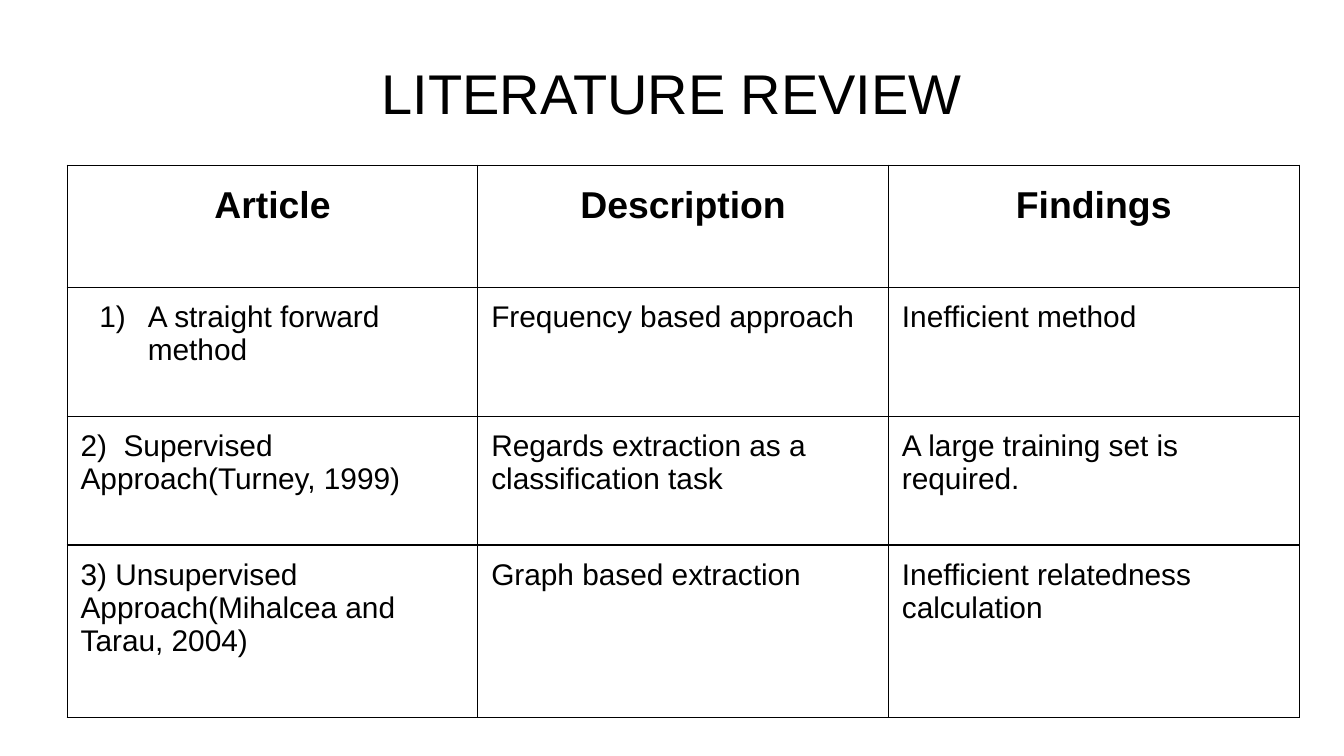
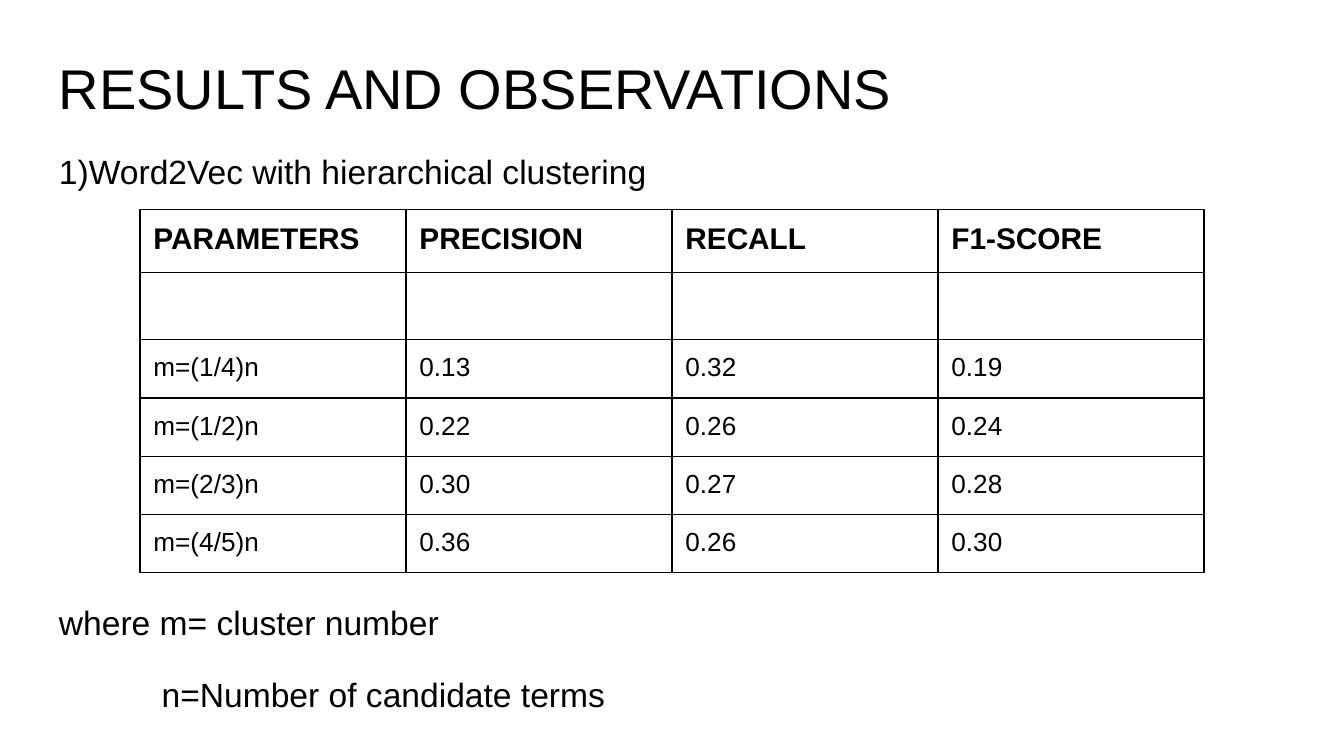
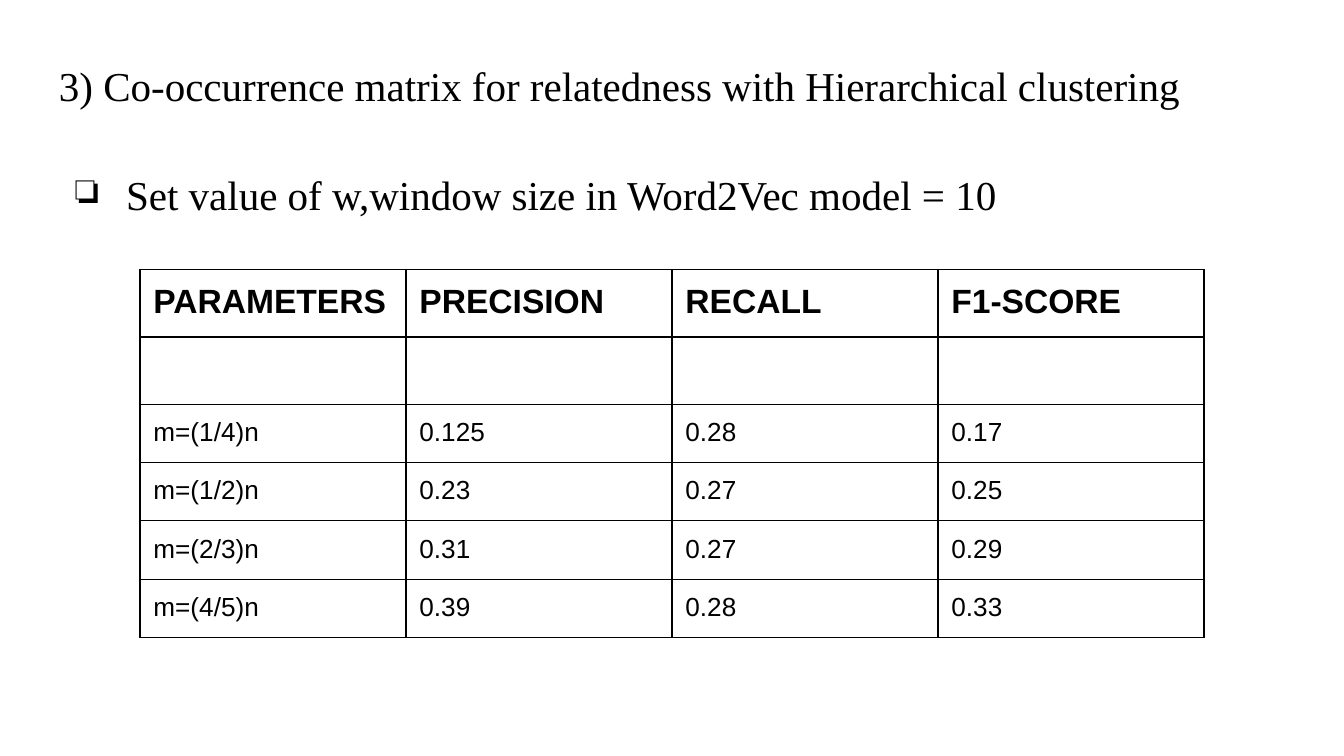
from dataclasses import dataclass

from lxml.etree import SubElement
from pptx import Presentation
from pptx.dml.color import RGBColor
from pptx.enum.text import MSO_ANCHOR, PP_ALIGN
from pptx.oxml.ns import qn
from pptx.util import Pt


@dataclass(frozen=True)
class Theme:
    ink: str = "000000"
    sans: str = "Arial"
    serif: str = "Times New Roman"
    title: int = 30
    statement: int = 22
    heading: int = 20
    body: int = 18
    label: int = 16
    value: int = 14
    loose: float = 1.15
    inset: float = 7.2
    top_inset: float = 10
    border: float = 0.75
    left: float = 24.5
    width: float = 671


THEME = Theme()
BLANK_LAYOUT = 6
METRICS = ["PARAMETERS", "PRECISION", "RECALL", "F1-SCORE"]
CLUSTER_COUNTS = ["m=(1/4)n", "m=(1/2)n", "m=(2/3)n", "m=(4/5)n"]


def set_attributes(target, values):
    for name, value in values.items():
        setattr(target, name, value)


class SlideBuilder:
    def __init__(self, theme):
        self.theme = theme
        self.deck = Presentation()
        set_attributes(self.deck, {"slide_width": Pt(720), "slide_height": Pt(405)})
        self.page = None

    def new_page(self):
        self.page = self.deck.slides.add_slide(self.deck.slide_layouts[BLANK_LAYOUT])

    def add_text(self, para, text, size, font=None, bold=False, **paragraph_format):
        set_attributes(para, paragraph_format)
        span = para.add_run()
        span.text = text
        set_attributes(span.font, {"size": Pt(size), "name": font or self.theme.sans, "bold": bold})
        span.font.color.rgb = RGBColor.from_string(self.theme.ink)

    def indent(self, para, left, first=0):
        properties = para._p.get_or_add_pPr()
        properties.set("marL", str(Pt(left)))
        properties.set("indent", str(Pt(first)))
        return properties

    def marker(self, para, first, kind, **settings):
        """Hang a bullet or a number in front of a paragraph."""
        properties = self.indent(para, 36, first)
        color = SubElement(properties, qn("a:buClr"))
        SubElement(color, qn("a:srgbClr"), val=self.theme.ink)
        SubElement(properties, qn(kind), **settings)

    def text_box(self, top, height, top_inset=THEME.top_inset):
        theme = self.theme
        box = self.page.shapes.add_textbox(Pt(theme.left), Pt(top), Pt(theme.width), Pt(height))
        set_attributes(box.text_frame, {
            "word_wrap": True,
            "vertical_anchor": MSO_ANCHOR.TOP,
            "margin_left": Pt(theme.inset),
            "margin_right": Pt(theme.inset),
            "margin_top": Pt(top_inset),
            "margin_bottom": Pt(theme.inset),
        })
        return box.text_frame

    def title(self, text, top, align=PP_ALIGN.LEFT):
        frame = self.text_box(top, 45)
        self.add_text(frame.paragraphs[0], text, self.theme.title, alignment=align)

    def table(self, left, top, column_width, row_heights, columns):
        total = column_width * columns
        table = self.page.shapes.add_table(
            len(row_heights), columns, Pt(left), Pt(top), Pt(total), Pt(sum(row_heights))).table
        set_attributes(table, {"first_row": False, "horz_banding": False})
        for column in table.columns:
            column.width = Pt(column_width)
        for row, height in zip(table.rows, row_heights):
            row.height = Pt(height)
        for cell in table.iter_cells():
            self.style_cell(cell)
        return table

    def style_cell(self, cell):
        theme = self.theme
        for side in ("left", "right", "top", "bottom"):
            setattr(cell, f"margin_{side}", Pt(theme.inset))
        properties = cell._tc.get_or_add_tcPr()
        for edge in ("lnL", "lnR", "lnT", "lnB"):
            line = SubElement(properties, qn(f"a:{edge}"), w=str(Pt(theme.border)))
            fill = SubElement(line, qn("a:solidFill"))
            SubElement(fill, qn("a:srgbClr"), val=theme.ink)
        cell.fill.background()

    def fill_row(self, table, row, texts, size, **text_format):
        for column, text in enumerate(texts):
            para = table.cell(row, column).text_frame.paragraphs[0]
            self.add_text(para, text, size, **text_format)

    def empty_row(self, table, row):
        for cell in table.rows[row].cells:
            end = SubElement(cell.text_frame.paragraphs[0]._p, qn("a:endParaRPr"),
                             sz=str(self.theme.body * 100))
            SubElement(end, qn("a:latin"), typeface=self.theme.sans)

    def score_table(self, top, header_size, scores):
        """Metric headings, an empty row, then one row per cluster count."""
        table = self.table(75, top, 142.5, [30.24] * (len(scores) + 2), len(METRICS))
        self.fill_row(table, 0, METRICS, header_size, bold=True)
        self.empty_row(table, 1)
        for row, (count, values) in enumerate(zip(CLUSTER_COUNTS, scores), start=2):
            self.fill_row(table, row, [count, *values], self.theme.value)


def literature_review(builder):
    theme = builder.theme
    builder.new_page()
    builder.title("LITERATURE REVIEW", 21.6, PP_ALIGN.CENTER)
    table = builder.table(36, 88.5, 220, [65.5, 69, 69, 92.5], 3)
    builder.fill_row(table, 0, ["Article", "Description", "Findings"], theme.heading,
                     bold=True, alignment=PP_ALIGN.CENTER, line_spacing=theme.loose)
    articles = [
        ["A straight forward method", "Frequency based approach", "Inefficient method"],
        ["2)  Supervised Approach(Turney, 1999)", "Regards extraction as a classification task",
         "A large training set is required."],
        ["3) Unsupervised Approach(Mihalcea and Tarau, 2004)", "Graph based extraction",
         "Inefficient relatedness calculation"],
    ]
    for row, texts in enumerate(articles, start=1):
        builder.fill_row(table, row, texts, theme.label)
    builder.marker(table.cell(1, 0).text_frame.paragraphs[0], -26,
                   "a:buAutoNum", type="arabicParenR")


def results(builder):
    theme = builder.theme
    builder.new_page()
    builder.title("RESULTS AND OBSERVATIONS", 18.7)
    method = builder.text_box(67.7, 42)
    builder.add_text(method.paragraphs[0], "1)Word2Vec with hierarchical clustering",
                     theme.body, line_spacing=theme.loose)
    builder.score_table(112.3, theme.label, [
        ["0.13", "0.32", "0.19"],
        ["0.22", "0.26", "0.24"],
        ["0.30", "0.27", "0.28"],
        ["0.36", "0.26", "0.30"],
    ])
    legend = builder.text_box(312.3, 80)
    builder.add_text(legend.paragraphs[0], "where m= cluster number", theme.body)
    terms = legend.add_paragraph()
    builder.add_text(terms, "n=Number of candidate terms", theme.body, space_before=Pt(17))
    builder.indent(terms, 55)


def co_occurrence(builder):
    theme = builder.theme
    builder.new_page()
    heading = builder.text_box(11.5, 79, top_inset=23)
    builder.add_text(heading.paragraphs[0],
                     "3) Co-occurrence matrix for relatedness with Hierarchical clustering",
                     theme.statement, theme.serif)
    setting = builder.text_box(80.6, 50)
    para = setting.paragraphs[0]
    builder.add_text(para, "Set value of w,window size in Word2Vec model = 10",
                     theme.statement, theme.serif)
    builder.marker(para, -27, "a:buChar", char="❏")
    builder.score_table(144.5, theme.body, [
        ["0.125", "0.28", "0.17"],
        ["0.23", "0.27", "0.25"],
        ["0.31", "0.27", "0.29"],
        ["0.39", "0.28", "0.33"],
    ])


def main():
    builder = SlideBuilder(THEME)
    for build in (literature_review, results, co_occurrence):
        build(builder)
    builder.deck.save("out.pptx")


if __name__ == "__main__":
    main()
